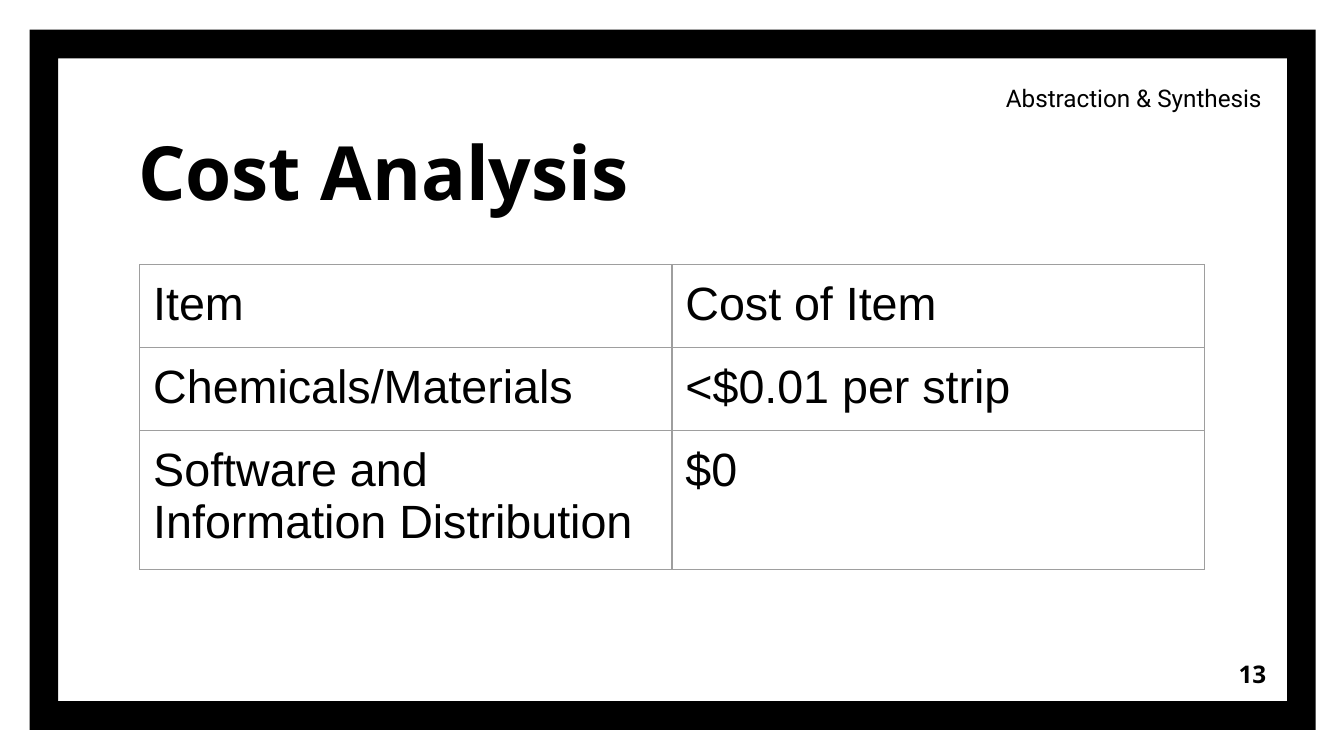
import pptx
import pptx.dml.color
import pptx.enum.shapes
import pptx.enum.text
import pptx.oxml
import pptx.oxml.ns
import pptx.util
from dataclasses import dataclass

Inches = pptx.util.Inches
Align = pptx.enum.text.PP_ALIGN
Anchor = pptx.enum.text.MSO_ANCHOR

TITLE = "Cost Analysis"
SECTION = "Abstraction & Synthesis"
PAGE_NUMBER = "13"
COSTS = [
    ("Item", "Cost of Item"),
    ("Chemicals/Materials", "<$0.01 per strip"),
    ("Software and Information Distribution", "$0"),
]


@dataclass(frozen=True)
class Theme:
    ink: str = "000000"
    grid: str = "9E9E9E"
    grid_width: float = 0.75
    heading_font: str = "Noto Sans"
    section_font: str = "Roboto"
    table_font: str = "Arial"
    title_size: int = 40
    small_size: int = 13
    table_size: int = 25
    inset: float = 0.1


THEME = Theme()


def color(value):
    return pptx.dml.color.RGBColor.from_string(value)


def write_text(frame, text, *, font, size, bold=False, align=Align.LEFT):
    frame.word_wrap = True
    paragraph = frame.paragraphs[0]
    paragraph.alignment = align
    run = paragraph.add_run()
    run.text = text
    run.font.name = font
    run.font.size = pptx.util.Pt(size)
    run.font.bold = bold
    run.font.color.rgb = color(THEME.ink)


def set_margins(holder):
    holder.margin_left = holder.margin_right = Inches(THEME.inset)
    holder.margin_top = holder.margin_bottom = Inches(THEME.inset)


def add_text(slide, box, text, *, anchor=Anchor.TOP, **text_format):
    frame = slide.shapes.add_textbox(*map(Inches, box)).text_frame
    frame.vertical_anchor = anchor
    set_margins(frame)
    write_text(frame, text, **text_format)


def add_border_frame(slide, box):
    shape = slide.shapes.add_shape(
        pptx.enum.shapes.MSO_SHAPE.FRAME, *map(Inches, box)
    )
    shape.adjustments[0] = 0.041
    shape.shadow.inherit = False
    shape.fill.solid()
    shape.fill.fore_color.rgb = color(THEME.ink)
    shape.line.fill.background()


def set_cell_borders(cell):
    properties = cell._tc.get_or_add_tcPr()
    width = pptx.util.Pt(THEME.grid_width)
    for position, side in enumerate(("lnL", "lnR", "lnT", "lnB")):
        line = pptx.oxml.parse_xml(
            f'<a:{side} {pptx.oxml.ns.nsdecls("a")} w="{width}">'
            f'<a:solidFill><a:srgbClr val="{THEME.grid}"/></a:solidFill></a:{side}>'
        )
        properties.insert(position, line)


def add_cost_table(slide, box, column_width, row_height):
    shape = slide.shapes.add_table(len(COSTS), len(COSTS[0]), *map(Inches, box))
    table = shape.table
    table.first_row = table.horz_banding = False
    for column in table.columns:
        column.width = Inches(column_width)
    for row in table.rows:
        row.height = Inches(row_height)
    shape.width, shape.height = map(Inches, box[2:])
    for row, values in enumerate(COSTS):
        for column, text in enumerate(values):
            cell = table.cell(row, column)
            cell.fill.background()
            set_margins(cell)
            write_text(
                cell.text_frame, text, font=THEME.table_font, size=THEME.table_size
            )
            set_cell_borders(cell)


def main():
    """Build the cost analysis slide and save it."""
    presentation = pptx.Presentation()
    presentation.slide_width = Inches(10)
    presentation.slide_height = Inches(10 * 9 / 16)
    slide = presentation.slides.add_slide(presentation.slide_layouts[6])
    add_border_frame(slide, (0.22, 0.22, 9.57, 5.21))
    add_text(
        slide, (0.93, 0.76, 5.57, 0.94), TITLE, anchor=Anchor.BOTTOM,
        font=THEME.heading_font, size=THEME.title_size, bold=True,
    )
    add_text(
        slide, (8.92, 4.8, 0.6, 0.43), PAGE_NUMBER, anchor=Anchor.MIDDLE,
        font=THEME.heading_font, size=THEME.small_size, bold=True, align=Align.RIGHT,
    )
    add_cost_table(slide, (1.04, 1.97, 3.28, 3.28), column_width=3.96, row_height=0.42)
    add_text(
        slide, (7.27, 0.52, 2.33, 0.48), SECTION,
        font=THEME.section_font, size=THEME.small_size, align=Align.CENTER,
    )
    presentation.save("out.pptx")


if __name__ == "__main__":
    main()
